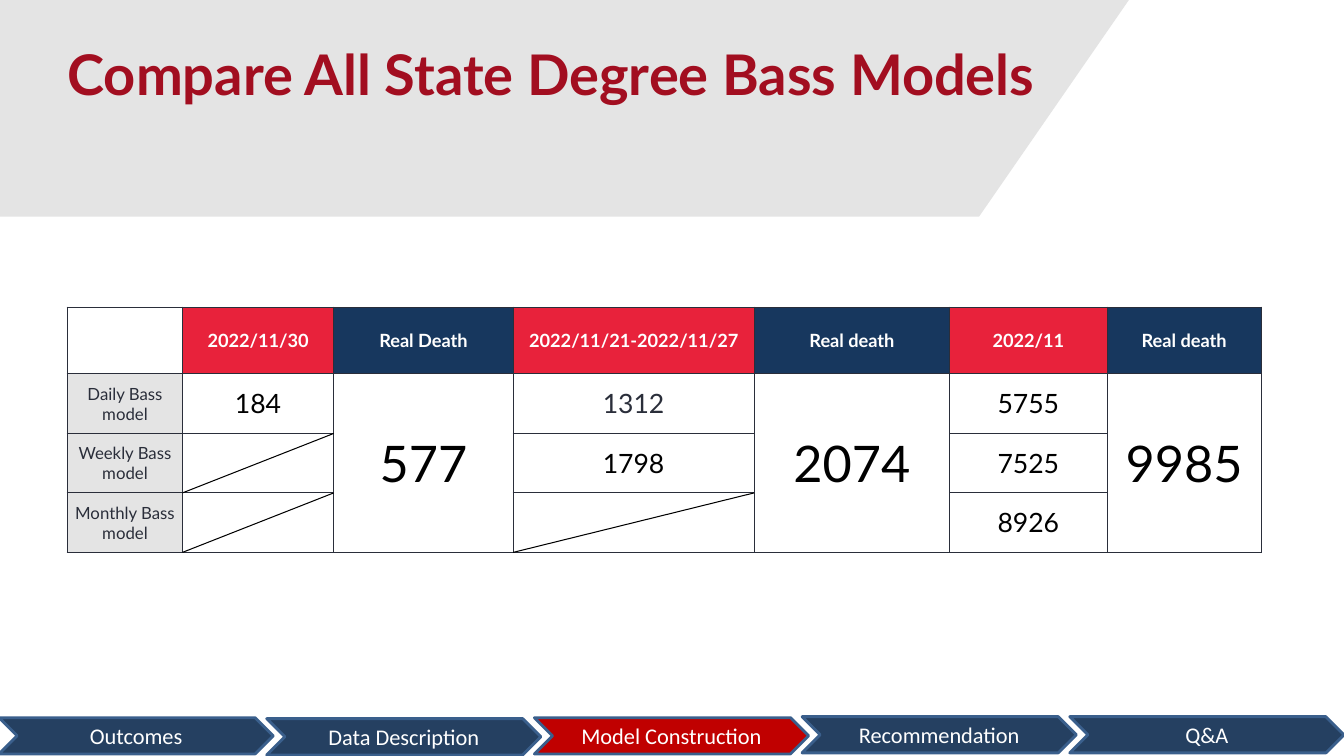
from dataclasses import dataclass
from itertools import accumulate

from lxml.etree import SubElement
from pptx import Presentation
from pptx.dml.color import RGBColor
from pptx.enum.shapes import MSO_CONNECTOR, MSO_SHAPE
from pptx.enum.text import MSO_ANCHOR, MSO_AUTO_SIZE, PP_ALIGN
from pptx.oxml.ns import qn
from pptx.util import Inches, Pt

BLACK, WHITE, SLATE = "000000", "FFFFFF", "2A2E3A"
GREY, RED, NAVY = "E4E4E4", "E8223B", "17375E"

TABLE_LEFT, TABLE_TOP = 0.67, 3.05
COLUMN_WIDTHS = [1.14, 1.5, 1.78, 2.39, 1.94, 1.56, 1.53]
ROW_HEIGHTS = [0.66, 0.59, 0.59, 0.59]
COLUMN_EDGES = list(accumulate(COLUMN_WIDTHS, initial=TABLE_LEFT))
ROW_EDGES = list(accumulate(ROW_HEIGHTS, initial=TABLE_TOP))

ROWS = [
    ["", "2022/11/30", "Real Death", "2022/11/21-2022/11/27", "Real death", "2022/11", "Real death"],
    ["Daily Bass model", "184", "577", "1312", "2074", "5755", "9985"],
    ["Weekly Bass model", "", "", "1798", "", "7525", ""],
    ["Monthly Bass model", "", "", "", "", "8926", ""],
]
REAL_DEATH_COLUMNS = (2, 4, 6)
STRUCK_CELLS = [(2, 1), (3, 1), (3, 3)]


@dataclass
class CellStyle:
    fill: str
    color: str
    size: float
    bold: bool = False


@dataclass
class Section:
    name: str
    top: float
    fill: str = "254061"


SECTIONS = [
    Section("Outcomes", 7.12),
    Section("Data Description", 7.13),
    Section("Model Construction", 7.12, "C00000"),
    Section("Recommendation", 7.11),
    Section("Q&A", 7.11),
]


def rgb(color: str) -> RGBColor:
    return RGBColor.from_string(color)


def set_font(paragraph, name: str, size: float, color: str, bold: bool = False) -> None:
    font = paragraph.font
    font.name, font.size, font.bold = name, Pt(size), bold
    font.color.rgb = rgb(color)


def add_band(slide):
    builder = slide.shapes.build_freeform(Inches(9.71), Inches(2.15))
    corners = [(-0.22, 2.15), (-1.9, -0.28), (11.39, -0.28)]
    builder.add_line_segments([(Inches(x), Inches(y)) for x, y in corners], close=True)
    band = builder.convert_to_shape()
    band.shadow.inherit = False
    band.fill.solid()
    band.fill.fore_color.rgb = rgb(GREY)
    band.line.fill.background()
    return band


def format_title(title) -> None:
    title.left, title.top, title.width, title.height = map(Inches, (0.67, 0.11, 9.83, 0.86))
    frame = title.text_frame
    frame.text = "Compare All State Degree Bass Models"
    frame.margin_left = frame.margin_top = frame.margin_right = frame.margin_bottom = 0
    frame.vertical_anchor = MSO_ANCHOR.TOP
    frame.word_wrap = True
    frame.auto_size = MSO_AUTO_SIZE.SHAPE_TO_FIT_TEXT
    heading = frame.paragraphs[0]
    heading.alignment = PP_ALIGN.LEFT
    heading.line_spacing = Pt(68)
    set_font(heading, "Lato", 40, "A20E20", bold=True)


def cell_style(row: int, column: int) -> CellStyle:
    if row == 0:
        fill = WHITE if column == 0 else NAVY if column in REAL_DEATH_COLUMNS else RED
        return CellStyle(fill, WHITE, 13, bold=True)
    if column == 0:
        return CellStyle(GREY, SLATE, 12)
    if column in REAL_DEATH_COLUMNS:
        return CellStyle(WHITE, BLACK, 36)
    return CellStyle(WHITE, SLATE if (row, column) == (1, 3) else BLACK, 19)


def add_borders(cell, row: int, column: int) -> None:
    """Draw all four edges, thicker along the table's left and top."""
    properties = cell._tc.get_or_add_tcPr()
    widths = {"lnL": 1.5 if column == 0 else 0.75, "lnR": 0.75,
              "lnT": 1.5 if row == 0 else 0.75, "lnB": 0.75}
    for edge, width in widths.items():
        line = SubElement(properties, qn(f"a:{edge}"), w=str(Pt(width)))
        fill = SubElement(line, qn("a:solidFill"))
        SubElement(fill, qn("a:srgbClr"), val=SLATE)


def add_comparison_table(slide) -> None:
    table = slide.shapes.add_table(
        len(ROW_HEIGHTS), len(COLUMN_WIDTHS), Inches(TABLE_LEFT), Inches(TABLE_TOP),
        Inches(sum(COLUMN_WIDTHS)), Inches(sum(ROW_HEIGHTS))).table
    table.first_row = table.horz_banding = False
    for column, width in zip(table.columns, COLUMN_WIDTHS):
        column.width = Inches(width)
    for table_row, height in zip(table.rows, ROW_HEIGHTS):
        table_row.height = Inches(height)
    for row, texts in enumerate(ROWS):
        for column, text in enumerate(texts):
            cell = table.cell(row, column)
            style = cell_style(row, column)
            add_borders(cell, row, column)
            cell.fill.solid()
            cell.fill.fore_color.rgb = rgb(style.fill)
            cell.margin_left = cell.margin_right = Inches(0.07)
            cell.margin_top = cell.margin_bottom = Inches(0.03)
            cell.vertical_anchor = MSO_ANCHOR.MIDDLE
            cell.text = text
            paragraph = cell.text_frame.paragraphs[0]
            paragraph.alignment = PP_ALIGN.CENTER
            set_font(paragraph, "Lato", style.size if text else 12, style.color, style.bold)
    for column in REAL_DEATH_COLUMNS:
        table.cell(1, column).merge(table.cell(3, column))


def strike_cell(slide, row: int, column: int) -> None:
    """Draw a rising diagonal across a cell that has no value."""
    diagonal = slide.shapes.add_connector(
        MSO_CONNECTOR.STRAIGHT,
        Inches(COLUMN_EDGES[column]), Inches(ROW_EDGES[row + 1]),
        Inches(COLUMN_EDGES[column + 1]), Inches(ROW_EDGES[row]))
    diagonal.line.color.rgb = rgb(BLACK)
    diagonal.line.width = Pt(0.75)
    SubElement(diagonal.element.spPr, qn("a:effectLst"))


def add_section(slide, section: Section, left: float) -> None:
    chevron = slide.shapes.add_shape(
        MSO_SHAPE.CHEVRON, Inches(left), Inches(section.top), Inches(2.72), Inches(0.36))
    chevron.shadow.inherit = False
    chevron.fill.solid()
    chevron.fill.fore_color.rgb = rgb(section.fill)
    chevron.line.color.rgb = rgb("3A5F8C")
    chevron.line.width = Pt(2)
    frame = chevron.text_frame
    frame.text = section.name
    frame.vertical_anchor = MSO_ANCHOR.MIDDLE
    frame.paragraphs[0].alignment = PP_ALIGN.CENTER
    set_font(frame.paragraphs[0], "Calibri", 16, WHITE)


def main() -> None:
    presentation = Presentation()
    presentation.slide_width, presentation.slide_height = Inches(13.33), Inches(7.5)
    slide = presentation.slides.add_slide(presentation.slide_layouts[5])
    title = slide.shapes.title
    format_title(title)
    title.element.addprevious(add_band(slide).element)
    add_comparison_table(slide)
    for row, column in STRUCK_CELLS:
        strike_cell(slide, row, column)
    for index, section in enumerate(SECTIONS):
        add_section(slide, section, -0.01 + 2.655 * index)
    presentation.save("out.pptx")


if __name__ == "__main__":
    main()
